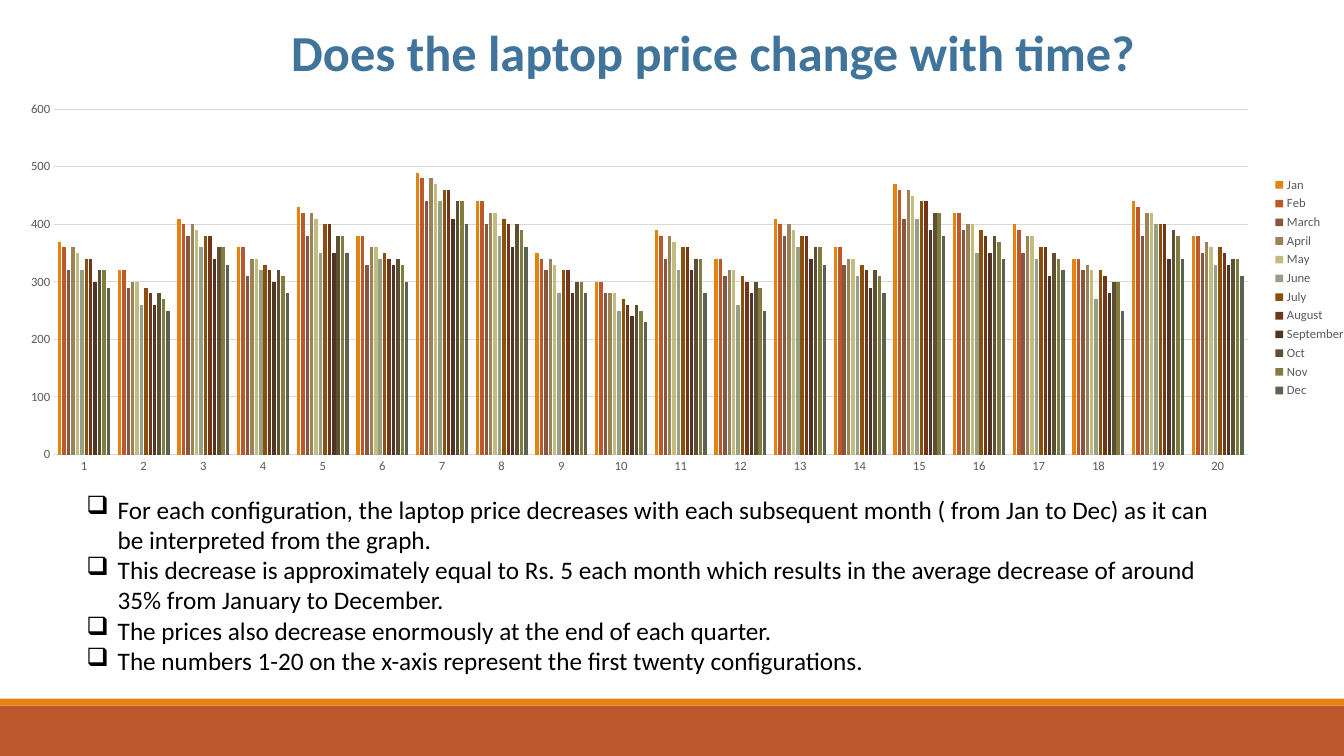
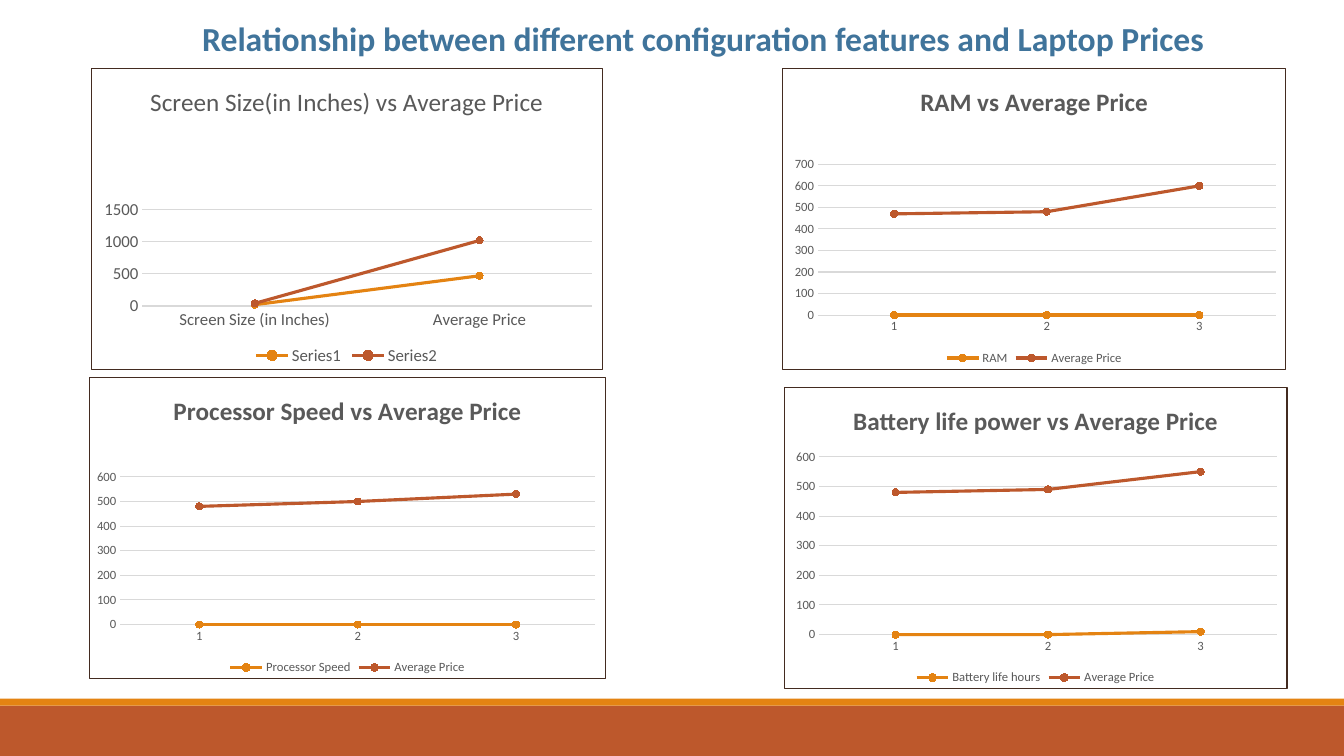
from dataclasses import dataclass
from typing import NamedTuple

from lxml.etree import SubElement
from pptx import Presentation
from pptx.chart.data import CategoryChartData
from pptx.dml.color import RGBColor
from pptx.enum.chart import XL_CHART_TYPE as ChartType
from pptx.enum.chart import XL_LEGEND_POSITION as LegendPosition
from pptx.enum.chart import XL_MARKER_STYLE as MarkerStyle
from pptx.enum.chart import XL_TICK_MARK as TickMark
from pptx.enum.shapes import MSO_SHAPE as ShapeKind
from pptx.enum.text import PP_ALIGN as Align
from pptx.oxml import parse_xml
from pptx.oxml.ns import nsdecls, qn
from pptx.util import Inches, Pt

SLIDE_WIDTH, SLIDE_HEIGHT = Inches(13.33), Inches(7.5)


@dataclass(frozen=True)
class Theme:
    """Colours, font and type sizes shared by the slides."""
    font: str = "Calibri"
    background: str = "FFFFFF"
    title: str = "40749B"
    body: str = "000000"
    chart_text: str = "595959"
    grid: str = "D9D9D9"
    border: str = "432B20"
    orange: str = "E48312"
    rust: str = "BD582C"
    series: tuple = (
        "E48312", "BD582C", "865640", "9B8357", "C2BC80", "94A088",
        "894F0B", "71351A", "503426", "5D4F34", "837C3F", "59634F")
    title_size: int = 36
    long_title_size: int = 24
    body_size: int = 18
    chart_title_size: int = 18
    chart_size: int = 9
    large_chart_size: int = 12
    hairline: float = 0.75
    series_line: float = 2.25
    marker_size: int = 5


THEME = Theme()


class Area(NamedTuple):
    """A rectangle in percent of the slide, or in shares of a chart."""
    left: float
    top: float
    width: float
    height: float

    def on_slide(self):
        """Return the four lengths on the slide."""
        sides = (SLIDE_WIDTH, SLIDE_HEIGHT) * 2
        return [round(side * share / 100) for side, share in zip(sides, self)]


@dataclass(frozen=True)
class LinePanel:
    """One bordered line chart of the comparison slide."""
    title: str
    area: Area
    plot: Area
    categories: tuple
    series: dict
    maximum: int
    step: int = 100
    kind: ChartType = ChartType.LINE_MARKERS_STACKED
    text_size: int = THEME.chart_size
    bold: bool = True


MONTH_PRICES = {
    "Jan": (370, 320, 410, 360, 430, 380, 490, 440, 350, 300,
            390, 340, 410, 360, 470, 420, 400, 340, 440, 380),
    "Feb": (360, 320, 400, 360, 420, 380, 480, 440, 340, 300,
            380, 340, 400, 360, 460, 420, 390, 340, 430, 380),
    "March": (320, 290, 380, 310, 380, 330, 440, 400, 320, 280,
              340, 310, 380, 330, 410, 390, 350, 320, 380, 350),
    "April": (360, 300, 400, 340, 420, 360, 480, 420, 340, 280,
              380, 320, 400, 340, 460, 400, 380, 330, 420, 370),
    "May": (350, 300, 390, 340, 410, 360, 470, 420, 330, 280,
            370, 320, 390, 340, 450, 400, 380, 320, 420, 360),
    "June": (320, 260, 360, 320, 350, 340, 440, 380, 280, 250,
             320, 260, 360, 310, 410, 350, 340, 270, 400, 330),
    "July": (340, 290, 380, 330, 400, 350, 460, 410, 320, 270,
             360, 310, 380, 330, 440, 390, 360, 320, 400, 360),
    "August": (340, 280, 380, 320, 400, 340, 460, 400, 320, 260,
               360, 300, 380, 320, 440, 380, 360, 310, 400, 350),
    "September": (300, 260, 340, 300, 350, 330, 410, 360, 280, 240,
                  320, 280, 340, 290, 390, 350, 310, 280, 340, 330),
    "Oct": (320, 280, 360, 320, 380, 340, 440, 400, 300, 260,
            340, 300, 360, 320, 420, 380, 350, 300, 390, 340),
    "Nov": (320, 270, 360, 310, 380, 330, 440, 390, 300, 250,
            340, 290, 360, 310, 420, 370, 340, 300, 380, 340),
    "Dec": (290, 250, 330, 280, 350, 300, 400, 360, 280, 230,
            280, 250, 330, 280, 380, 340, 320, 250, 340, 310),
}
FINDINGS = (
    "For each configuration, the laptop price decreases with each subsequent "
    "month ( from Jan to Dec) as it can be interpreted from the graph.",
    "This decrease is approximately equal to Rs. 5 each month which results in "
    "the average decrease of around 35% from January to December.",
    "The prices also decrease enormously at the end of each quarter.",
    "The numbers 1-20 on the x-axis represent the first twenty configurations.",
)
LEVELS = ("1", "2", "3")
PANELS = (
    LinePanel("RAM vs Average Price",
              Area(58.2, 8.93, 37.5, 40), Area(0.07, 0.32, 0.91, 0.5), LEVELS,
              {"RAM": (0, 0, 0), "Average Price": (470, 480, 600)},
              700, kind=ChartType.LINE_MARKERS),
    LinePanel("Processor Speed vs Average Price",
              Area(6.6, 49.87, 38.5, 40), Area(0.06, 0.33, 0.92, 0.49), LEVELS,
              {"Processor Speed": (0, 0, 0), "Average Price": (480, 500, 530)},
              600),
    LinePanel("Screen Size(in Inches) vs Average Price",
              Area(6.75, 8.93, 38.1, 40), Area(0.1, 0.47, 0.88, 0.32),
              ("Screen Size (in Inches)", "Average Price"),
              {"Series1": (20, 470), "Series2": (20, 550)},
              1500, step=500, text_size=THEME.large_chart_size, bold=False),
    LinePanel("Battery life power vs Average Price",
              Area(58.3, 51.2, 37.5, 40), Area(0.07, 0.23, 0.91, 0.59), LEVELS,
              {"Battery life hours": (0, 0, 10),
               "Average Price": (480, 490, 540)},
              600),
)


def style_font(font, size, color, bold=False):
    """Apply the theme font with a size, colour and weight."""
    font.name, font.size, font.bold = THEME.font, Pt(size), bold
    font.color.rgb = RGBColor.from_string(color)


def style_fill(fill, color):
    """Make a fill solid."""
    fill.solid()
    fill.fore_color.rgb = RGBColor.from_string(color)


def style_line(line, color, width):
    """Set the colour and width of a line."""
    style_fill(line.fill, color)
    line.width = Pt(width)


def add_band(slide, area, color):
    """Add a plain horizontal band."""
    band = slide.shapes.add_shape(ShapeKind.RECTANGLE, *area.on_slide())
    band.shadow.inherit = False
    style_fill(band.fill, color)
    band.line.fill.background()


def add_text(slide, area, lines, size, color, bold=False):
    """Add a wrapping text box and return its paragraphs."""
    text_frame = slide.shapes.add_textbox(*area.on_slide()).text_frame
    text_frame.word_wrap = True
    text_frame.text = "\n".join(lines)
    for paragraph in text_frame.paragraphs:
        for run in paragraph.runs:
            style_font(run.font, size, color, bold)
    return text_frame.paragraphs


def add_bullets(slide, area, lines):
    """Add a list with hollow square bullets and a hanging indent."""
    hang = Inches(0.31)
    for paragraph in add_text(slide, area, lines, THEME.body_size, THEME.body):
        properties = paragraph.runs[0].font and paragraph._p.get_or_add_pPr()
        properties.set("marL", str(hang))
        properties.set("indent", str(-hang))
        SubElement(properties, qn("a:buChar")).set("char", "\u2751")


def add_slide(presentation, title, area, size):
    """Add a blank slide with the footer bands and a centred title."""
    slide = presentation.slides.add_slide(presentation.slide_layouts[6])
    style_fill(slide.background.fill, THEME.background)
    add_band(slide, Area(0, 93.33, 100, 6.67), THEME.rust)
    add_band(slide, Area(0, 92.4, 100, 0.93), THEME.orange)
    for paragraph in add_text(slide, area, [title], size, THEME.title, True):
        paragraph.alignment = Align.CENTER
    return slide


def set_plot_area(chart, plot):
    """Fix the inner plot area, given in shares of the chart."""
    plot_area = chart.element.find(".//" + qn("c:plotArea"))
    for layout in plot_area.findall(qn("c:layout")):
        plot_area.remove(layout)
    settings = {"layoutTarget": "inner", "xMode": "edge", "yMode": "edge",
                **dict(zip("xywh", plot))}
    tags = "".join(f'<c:{tag} val="{value}"/>'
                   for tag, value in settings.items())
    plot_area.insert(0, parse_xml(
        f'<c:layout {nsdecls("c")}><c:manualLayout>{tags}'
        "</c:manualLayout></c:layout>"))


def set_border(chart):
    """Frame the whole chart with a thin line."""
    chart.element.find(qn("c:chart")).addnext(parse_xml(
        f'<c:spPr {nsdecls("c", "a")}><a:ln w="{Pt(THEME.hairline)}">'
        f'<a:solidFill><a:srgbClr val="{THEME.border}"/></a:solidFill>'
        "</a:ln></c:spPr>"))


def style_axes(chart, size, maximum, step):
    """Style both axes, their labels and the gridlines."""
    for axis in (chart.category_axis, chart.value_axis):
        axis.major_tick_mark = axis.minor_tick_mark = TickMark.NONE
        style_font(axis.tick_labels.font, size, THEME.chart_text)
    style_line(chart.category_axis.format.line, THEME.grid, THEME.hairline)
    value_axis = chart.value_axis
    value_axis.format.line.fill.background()
    value_axis.minimum_scale, value_axis.maximum_scale = 0, maximum
    value_axis.major_unit = step
    value_axis.has_major_gridlines = True
    style_line(value_axis.major_gridlines.format.line,
               THEME.grid, THEME.hairline)


def add_chart(slide, kind, area, plot, categories, series, position,
              maximum, step=100, size=THEME.chart_size):
    """Add a chart with the shared axis, legend and text style."""
    data = CategoryChartData()
    data.categories = categories
    for name, values in series.items():
        data.add_series(name, values)
    chart = slide.shapes.add_chart(kind, *area.on_slide(), data).chart
    style_font(chart.font, size, THEME.body)
    chart.has_title = False
    chart.plots[0].vary_by_categories = False
    chart.has_legend = True
    chart.legend.position = position
    chart.legend.include_in_layout = False
    style_font(chart.legend.font, size, THEME.chart_text)
    style_axes(chart, size, maximum, step)
    set_plot_area(chart, plot)
    return chart


def add_price_columns(slide):
    """Add the monthly prices of the twenty configurations."""
    categories = [str(number) for number in range(1, 21)]
    chart = add_chart(slide, ChartType.COLUMN_CLUSTERED,
                      Area(0, 12.4, 100.9, 51.33), Area(0.04, 0.04, 0.88, 0.89),
                      categories, MONTH_PRICES, LegendPosition.RIGHT, 600)
    chart.plots[0].gap_width, chart.plots[0].overlap = 219, -27
    for month, color in zip(chart.plots[0].series, THEME.series):
        style_fill(month.format.fill, color)


def add_line_panel(slide, panel):
    """Add a bordered line chart with a title and round markers."""
    chart = add_chart(slide, panel.kind, panel.area, panel.plot,
                      panel.categories, panel.series, LegendPosition.BOTTOM,
                      panel.maximum, panel.step, panel.text_size)
    set_border(chart)
    chart.has_title = True
    title = chart.chart_title.text_frame
    title.text = panel.title
    style_font(title.paragraphs[0].runs[0].font, THEME.chart_title_size,
               THEME.chart_text, panel.bold)
    for series, color in zip(chart.plots[0].series, THEME.series):
        series.smooth = False
        style_line(series.format.line, color, THEME.series_line)
        series.marker.style = MarkerStyle.CIRCLE
        series.marker.size = THEME.marker_size
        style_fill(series.marker.format.fill, color)
        style_line(series.marker.format.line, color, THEME.hairline)


def main():
    """Build and save both slides."""
    presentation = Presentation()
    presentation.slide_width = SLIDE_WIDTH
    presentation.slide_height = SLIDE_HEIGHT
    slide = add_slide(presentation, "Does the laptop price change with time?",
                      Area(10.05, 2.13, 86.05, 9.47), THEME.title_size)
    add_price_columns(slide)
    add_bullets(slide, Area(5.7, 64.67, 85.8, 25.6), FINDINGS)
    slide = add_slide(
        presentation, "Relationship between different configuration features "
        "and Laptop Prices", Area(9.75, 1.73, 85.15, 6.67),
        THEME.long_title_size)
    for panel in PANELS:
        add_line_panel(slide, panel)
    presentation.save("out.pptx")


main()
